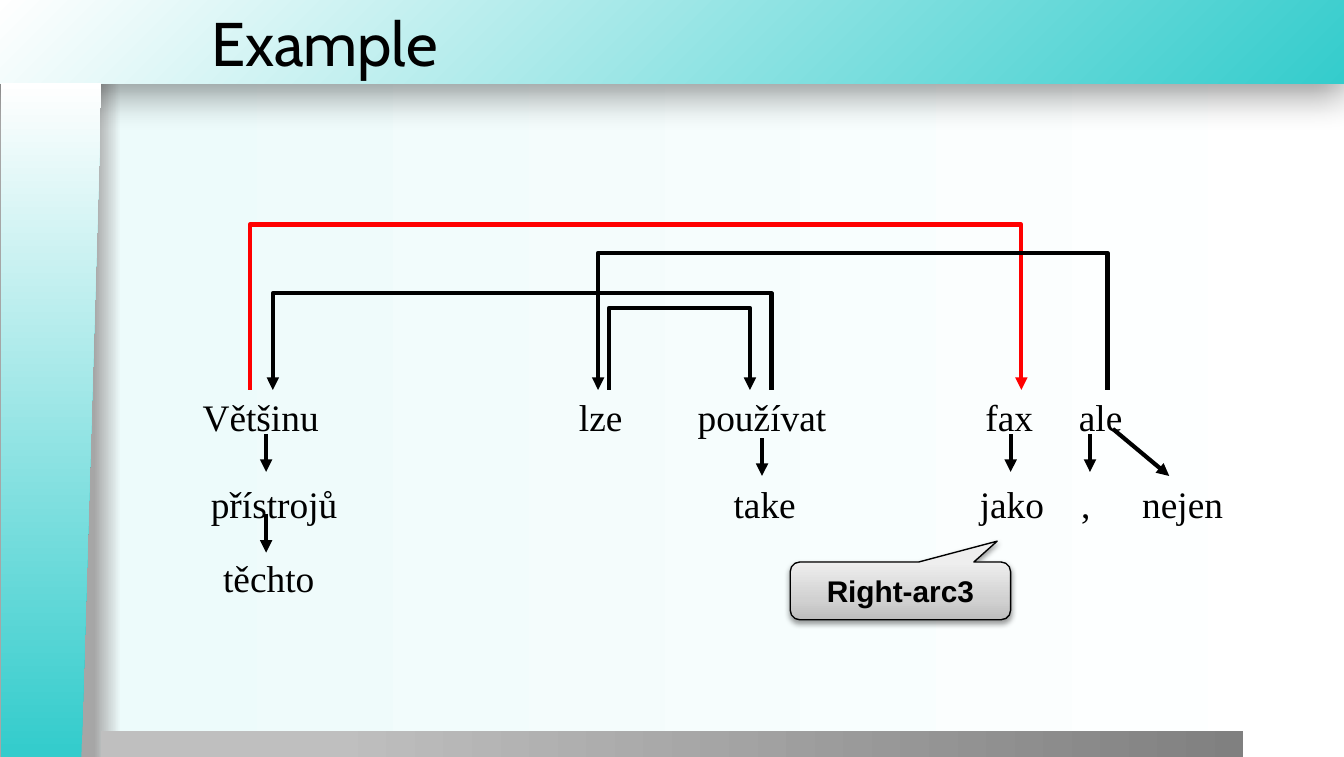
from typing import NamedTuple

from lxml import etree
from pptx import Presentation
from pptx.dml.color import RGBColor
from pptx.enum.shapes import MSO_CONNECTOR, MSO_SHAPE
from pptx.enum.text import MSO_ANCHOR, PP_ALIGN
from pptx.oxml.ns import qn
from pptx.util import Inches, Pt

STRAIGHT = MSO_CONNECTOR.STRAIGHT
RECTANGLE = MSO_SHAPE.RECTANGLE
SLANTED = MSO_SHAPE.FLOWCHART_MANUAL_INPUT
CALLOUT = MSO_SHAPE.ROUNDED_RECTANGULAR_CALLOUT
MIDDLE = MSO_ANCHOR.MIDDLE
LEFT, CENTER = PP_ALIGN.LEFT, PP_ALIGN.CENTER

COLORS = {
    "black": "000000", "red": "FF0000", "teal": "34CCCC", "white": "FFFFFF",
    "mint": "EDFBFB", "edge": "A6A6A6", "silver": "BFBFBF", "gray": "808080",
    "callout_dark": "BDBDBD", "callout_mid": "D1D1D1", "callout_light": "EEEEEE",
}
ARC_FOOT = 2.9
WORD_ROWS = (2.93, 3.58, 4.13)
WORD_WIDTH, WORD_HEIGHT = 1.2, 0.31


class Word(NamedTuple):
    text: str
    center: float
    row: int


class Arc(NamedTuple):
    start: float
    end: float
    top: float
    color: str = "black"


class Arrow(NamedTuple):
    x1: float
    y1: float
    x2: float
    y2: float


WORDS = [
    Word("Většinu", 1.94, 0), Word("lze", 4.47, 0), Word("používat", 5.67, 0),
    Word("fax", 7.51, 0), Word("ale", 8.19, 0),
    Word("přístrojů", 2.04, 1), Word("take", 5.69, 1), Word("jako", 7.53, 1),
    Word(",", 8.08, 1), Word("nejen", 8.8, 1),
    Word("těchto", 2, 2),
]
ARCS = [
    Arc(4.53, 5.58, 2.29),
    Arc(5.74, 2.03, 2.18),
    Arc(1.86, 7.6, 1.67, "red"),
    Arc(8.24, 4.45, 1.88),
]
ARROWS = [
    Arrow(7.52, 3.23, 7.52, 3.51), Arrow(8.11, 3.23, 8.11, 3.51),
    Arrow(1.98, 3.23, 1.98, 3.51), Arrow(1.98, 3.82, 1.98, 4.11),
    Arrow(5.67, 3.26, 5.67, 3.54), Arrow(8.28, 3.19, 8.7, 3.54),
]


def rgb(name: str) -> RGBColor:
    return RGBColor.from_string(COLORS[name])


def set_gradient(fill, owner, stops: list[tuple[int, str]], angle: int | None = 0) -> None:
    fill.gradient()
    gradient = owner.find(qn("a:gradFill"))
    for child in list(gradient):
        gradient.remove(child)
    gradient.set("rotWithShape", "1")
    stop_list = etree.SubElement(gradient, qn("a:gsLst"))
    for position, color in stops:
        stop = etree.SubElement(stop_list, qn("a:gs"), pos=str(position * 1000))
        etree.SubElement(stop, qn("a:srgbClr"), val=COLORS[color])
    if angle is None:
        circle = etree.SubElement(gradient, qn("a:path"), path="circle")
        etree.SubElement(circle, qn("a:fillToRect"), l="100000", t="100000")
    else:
        etree.SubElement(gradient, qn("a:lin"), ang=str(angle * 60000), scaled="0")


def add_panel(slide, kind, box: tuple, stops: list[tuple[int, str]], angle: int | None = 0):
    panel = slide.shapes.add_shape(kind, *map(Inches, box))
    panel.shadow.inherit = False
    panel.line.fill.background()
    set_gradient(panel.fill, panel._element.spPr, stops, angle)
    return panel


def add_shadow(shape, opacity: int, blur: float, distance: float) -> None:
    effects = shape._element.spPr.find(qn("a:effectLst"))
    shadow = etree.SubElement(
        effects, qn("a:outerShdw"), blurRad=str(Pt(blur)), dist=str(Pt(distance)),
        dir="5400000", algn="t", rotWithShape="0")
    color = etree.SubElement(shadow, qn("a:srgbClr"), val=COLORS["black"])
    etree.SubElement(color, qn("a:alpha"), val=str(opacity * 1000))


def style_arrow(line, color: str) -> None:
    line.color.rgb = rgb(color)
    line.width = Pt(2.25)
    etree.SubElement(line._get_or_add_ln(), qn("a:tailEnd"), type="triangle")


def add_arc(slide, arc: Arc) -> None:
    builder = slide.shapes.build_freeform(Inches(arc.start), Inches(ARC_FOOT))
    corners = [(arc.start, arc.top), (arc.end, arc.top), (arc.end, ARC_FOOT)]
    builder.add_line_segments([(Inches(x), Inches(y)) for x, y in corners], close=False)
    bracket = builder.convert_to_shape()
    bracket.shadow.inherit = False
    bracket.fill.background()
    style_arrow(bracket.line, arc.color)


def add_arrow(slide, arrow: Arrow) -> None:
    connector = slide.shapes.add_connector(STRAIGHT, *map(Inches, arrow))
    style_arrow(connector.line, "black")
    etree.SubElement(connector._element.spPr, qn("a:effectLst"))


def write(frame, text: str, font: str, size: int, align, bold: bool = False) -> None:
    frame.text = text
    paragraph = frame.paragraphs[0]
    paragraph.alignment = align
    run_font = paragraph.runs[0].font
    run_font.name, run_font.size, run_font.bold = font, Pt(size), bold
    run_font.color.rgb = rgb("black")


def add_word(slide, word: Word) -> None:
    box = slide.shapes.add_textbox(
        Inches(word.center - WORD_WIDTH / 2), Inches(WORD_ROWS[word.row]),
        Inches(WORD_WIDTH), Inches(WORD_HEIGHT))
    frame = box.text_frame
    frame.word_wrap = True
    frame.margin_left = frame.margin_right = frame.margin_top = frame.margin_bottom = 0
    write(frame, word.text, "Times New Roman", 20, CENTER)


def add_frame(slide) -> None:
    background = slide.background
    background.fill.solid()
    set_gradient(background.fill, slide._element.cSld.bg.bgPr,
                 [(7, "edge"), (9, "mint"), (100, "white")])
    header = add_panel(slide, RECTANGLE, (-0.01, 0, 10.01, 0.62),
                       [(0, "teal"), (100, "white")], None)
    add_shadow(header, 40, 20, 6)
    add_panel(slide, RECTANGLE, (0.75, 5.44, 8.5, 0.2), [(20, "silver"), (100, "gray")])
    sidebar = add_panel(slide, SLANTED, (-2.13, 2.75, 5.02, 0.75),
                        [(1, "teal"), (100, "white")])
    sidebar.rotation = 270
    sidebar._element.spPr.xfrm.set("flipV", "1")


def add_title(slide) -> None:
    title = slide.shapes.title
    title.left, title.top, title.width, title.height = map(Inches, (1.47, 0.01, 8.23, 0.61))
    title.text_frame.vertical_anchor = MIDDLE
    write(title.text_frame, "Example", "Cabin", 33, LEFT)
    slide.shapes._spTree.append(title._element)


def add_callout(slide) -> None:
    callout = add_panel(slide, CALLOUT, (5.88, 4.18, 1.64, 0.43),
                        [(0, "callout_dark"), (35, "callout_mid"), (100, "callout_light")], 270)
    for index, value in enumerate((0.439, -0.86, 0.167)):
        callout.adjustments[index] = value
    callout.line.color.rgb = rgb("black")
    callout.line.width = Pt(0.75)
    add_shadow(callout, 38, 3.1, 1.6)
    callout.text_frame.vertical_anchor = MIDDLE
    write(callout.text_frame, "Right-arc3", "Arial", 16, CENTER, bold=True)


def main() -> None:
    deck = Presentation()
    deck.slide_width, deck.slide_height = Inches(10), Inches(5.63)
    slide = deck.slides.add_slide(deck.slide_layouts[5])
    add_frame(slide)
    add_title(slide)
    for arc in ARCS:
        add_arc(slide, arc)
    for word in WORDS:
        add_word(slide, word)
    for arrow in ARROWS:
        add_arrow(slide, arrow)
    add_callout(slide)
    deck.save("out.pptx")


if __name__ == "__main__":
    main()
